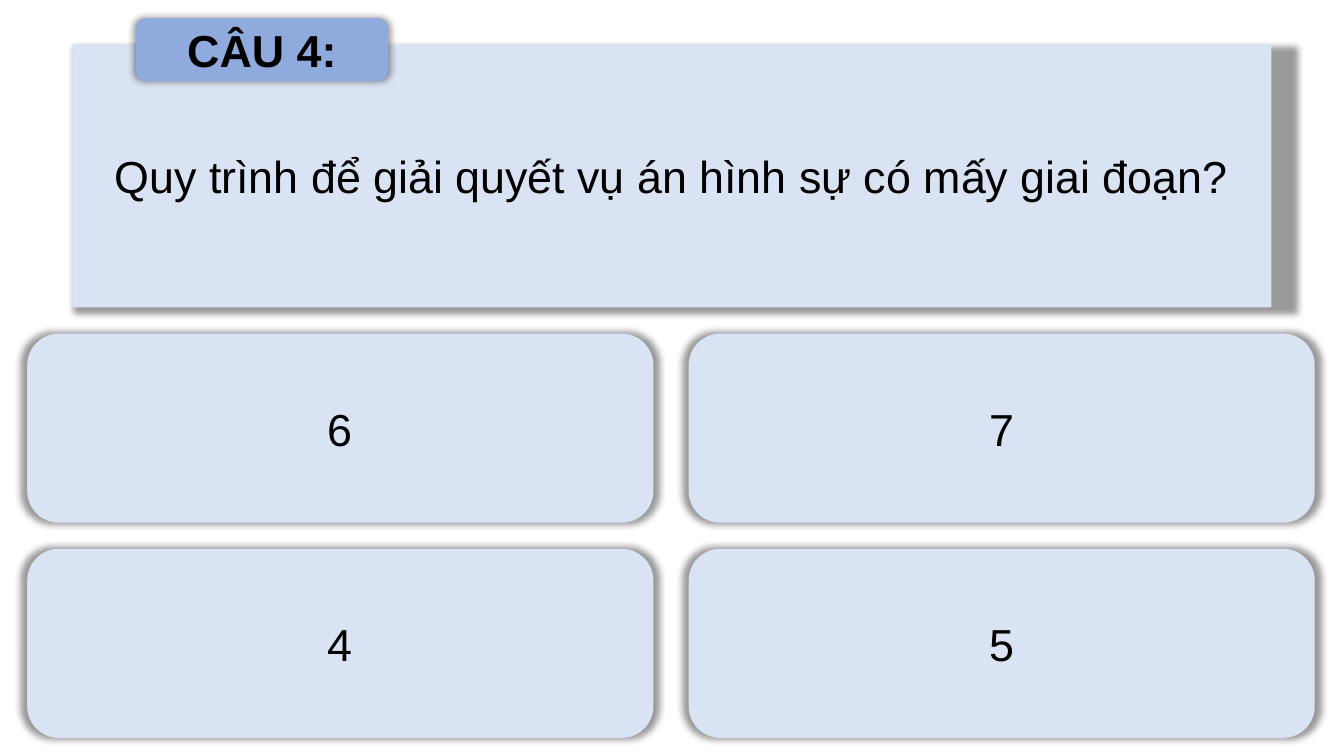
from dataclasses import dataclass

from pptx import Presentation
from pptx.dml.color import RGBColor
from pptx.enum.shapes import MSO_SHAPE
from pptx.enum.text import MSO_ANCHOR, PP_ALIGN
from pptx.oxml import parse_xml
from pptx.util import Inches, Pt

ROUNDED = MSO_SHAPE.ROUNDED_RECTANGLE
MIDDLE = MSO_ANCHOR.MIDDLE
CENTER = PP_ALIGN.CENTER
TITLE_ONLY = 5
DRAWING = 'xmlns:a="http://schemas.openxmlformats.org/drawingml/2006/main"'


@dataclass(frozen=True)
class Theme:
    panel: RGBColor = RGBColor(0xDA, 0xE3, 0xF3)
    badge: RGBColor = RGBColor(0x8F, 0xAA, 0xDC)
    text: RGBColor = RGBColor(0, 0, 0)
    font: str = "Arial"
    size: Pt = Pt(32)


THEME = Theme()

GLOW = f"""<a:effectLst {DRAWING}>
  <a:outerShdw blurRad="63500" sx="102000" sy="102000" algn="ctr" rotWithShape="0">
    <a:srgbClr val="000000"><a:alpha val="40000"/></a:srgbClr>
  </a:outerShdw>
</a:effectLst>"""
ROUNDED_OUTLINE = f'<a:prstGeom {DRAWING} prst="roundRect"><a:avLst/></a:prstGeom>'


def style_card(shape, text, fill, bold=False):
    """Give a card its fill, soft shadow and centred text."""
    shape.fill.solid()
    shape.fill.fore_color.rgb = fill
    shape.line.fill.background()
    shape._element.spPr.append(parse_xml(GLOW))
    frame = shape.text_frame
    frame.text = text
    frame.word_wrap = True
    frame.vertical_anchor = MIDDLE
    paragraph = frame.paragraphs[0]
    paragraph.alignment = CENTER
    font = paragraph.runs[0].font
    font.name, font.size, font.bold = THEME.font, THEME.size, bold
    font.color.rgb = THEME.text


def add_card(slide, box, text, fill, bold=False):
    shape = slide.shapes.add_shape(ROUNDED, *map(Inches, box))
    style_card(shape, text, fill, bold)


def add_question(slide, box, label, question):
    """Question panel, with its number badge over the top edge."""
    left, top, width, height = box
    title = slide.shapes.title
    title.left, title.top, title.width, title.height = map(Inches, box)
    title._element.spPr.xfrm.addnext(parse_xml(ROUNDED_OUTLINE))
    style_card(title, question, THEME.panel)
    badge = (left + 0.053 * width, top - 0.1 * height, 0.21 * width, 0.24 * height)
    add_card(slide, badge, label, THEME.badge, bold=True)


def add_answers(slide, box, answers, columns=2, column_gap=0.35, row_gap=0.26):
    """Answer cards in an even grid, filled row by row."""
    left, top, width, height = box
    rows = len(answers) // columns
    card_width = (width - (columns - 1) * column_gap) / columns
    card_height = (height - (rows - 1) * row_gap) / rows
    for index, answer in enumerate(answers):
        row, column = divmod(index, columns)
        card = (left + column * (card_width + column_gap),
                top + row * (card_height + row_gap), card_width, card_height)
        add_card(slide, card, answer, THEME.panel)


def main():
    presentation = Presentation()
    presentation.slide_width = Inches(13.33)
    presentation.slide_height = Inches(7.5)
    slide = presentation.slides.add_slide(presentation.slide_layouts[TITLE_ONLY])
    add_question(slide, (0.72, 0.44, 11.89, 2.61), "CÂU 4:",
                 "Quy trình để giải quyết vụ án hình sự có mấy giai đoạn?")
    add_answers(slide, (0.27, 3.31, 12.77, 4.01), ["6", "7", "4", "5"])
    presentation.save("out.pptx")


if __name__ == "__main__":
    main()
